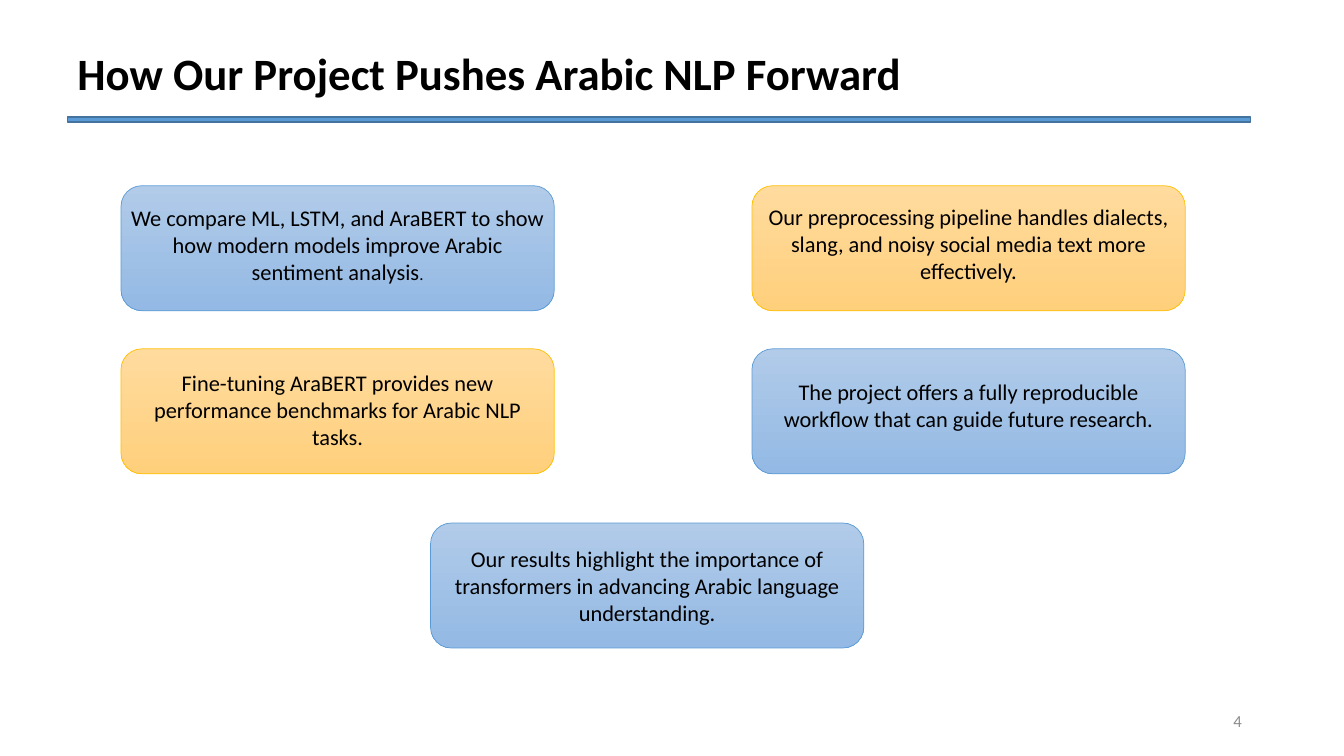
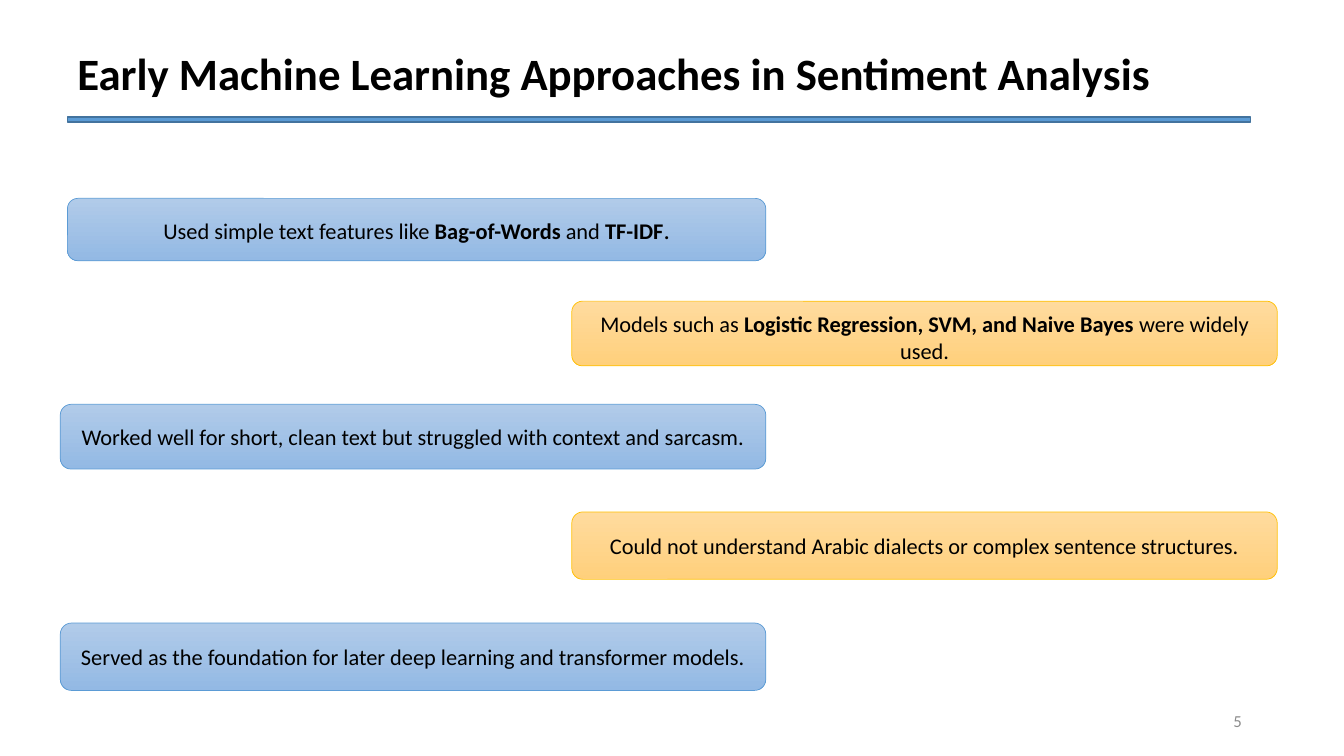
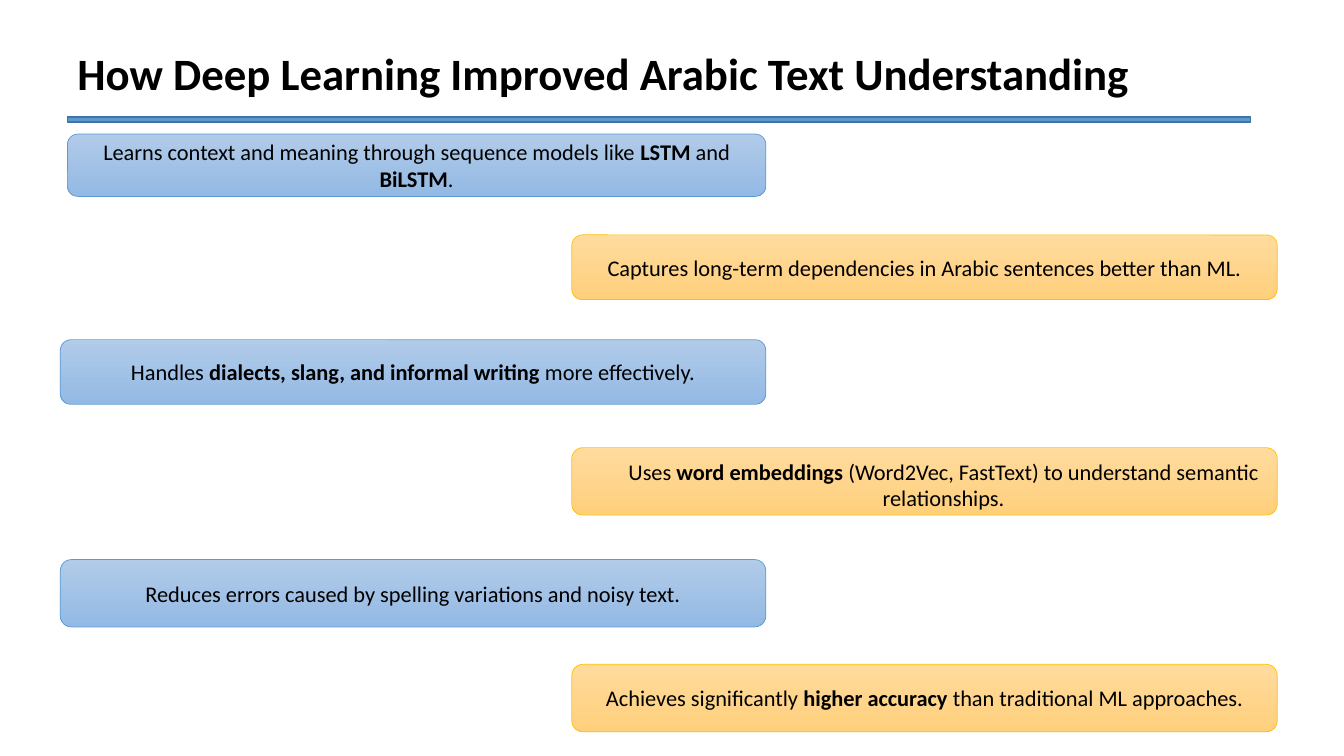
"""Build three slides on Arabic sentiment analysis."""
from dataclasses import dataclass

from pptx import Presentation
from pptx import util as u
from pptx.dml.color import RGBColor
from pptx.enum import shapes, text


@dataclass(frozen=True)
class Theme:
    """Colours and type sizes of the deck."""
    font: str = "Calibri"
    ink: str = "000000"
    mute: str = "8C8C8C"
    rule: str = "5B9BD5"
    edge: str = "43739E"
    blue: tuple = ("B1CBE9", "93B9E4", "5B9BD5")
    gold: tuple = ("FFDB9E", "FFD07C", "FFC000")
    head: int = 32
    body: int = 16
    note: int = 12


T = Theme()
BOX = (10.92, 3.15)
LEFT, MID, RIGHT = 3.05, 10.85, 18.95
ROWS = (4.68, 8.79, 13.18)
ENDS = ((1.52, 19.3), (14.41, 32.19))
TALL = (1.57, 1.63, 1.63, 1.7, 1.7, 1.7)


def tint(hue):
    """Return a colour from its hex form."""
    return RGBColor.from_string(hue)


def cms(*sizes):
    """Turn numbers into lengths."""
    return [u.Cm(size) for size in sizes]


def style(para, size, hue=T.ink, bold=None, align=None):
    """Set the font and alignment of a paragraph."""
    para.font.name, para.font.size = T.font, u.Pt(size)
    para.font.color.rgb = tint(hue)
    para.font.bold, para.alignment = bold, align


def label(slide, words, area, **look):
    """Add a line of plain text."""
    frame = slide.shapes.add_textbox(*cms(*area)).text_frame
    frame.word_wrap = True
    frame.vertical_anchor = text.MSO_ANCHOR.MIDDLE
    frame.text = words
    style(frame.paragraphs[0], **look)


def block(slide, kind, area, edge, width):
    """Add a flat outlined shape."""
    shape = slide.shapes.add_shape(kind, *cms(*area))
    shape.shadow.inherit = False
    shape.line.color.rgb, shape.line.width = tint(edge), u.Pt(width)
    return shape


def card(slide, words, area, hues, drop=0, shift=0, dot=None):
    """Add a shaded card, with bold words between double stars."""
    kind = shapes.MSO_SHAPE.ROUNDED_RECTANGLE
    shape = block(slide, kind, area, hues[2], 0.5)
    shape.fill.gradient()
    shape.fill.gradient_angle = 270
    for stop, hue in zip(shape.fill.gradient_stops, hues):
        stop.color.rgb = tint(hue)
    frame = shape.text_frame
    frame.word_wrap = True
    frame.vertical_anchor = text.MSO_ANCHOR.MIDDLE
    frame.margin_left, frame.margin_right = cms(0.05 + 2 * shift, 0.05)
    frame.margin_top, frame.margin_bottom = cms(max(0, 2 * drop), max(0, -2 * drop))
    para = frame.paragraphs[0]
    style(para, T.body, align=text.PP_ALIGN.CENTER)
    for i, part in enumerate(words.split("**")):
        run = para.add_run()
        run.text = part
        if i % 2:
            run.font.bold = True
    if dot:
        run = para.add_run()
        run.text, run.font.size = ".", u.Pt(dot)


def page(deck, title, number=None):
    """Add a slide with its title, rule and page number."""
    slide = deck.slides.add_slide(deck.slide_layouts[6])
    label(slide, title, (1.7, 1.02, 27.9, 1.63), size=T.head, bold=True)
    rule = block(slide, shapes.MSO_SHAPE.RECTANGLE, (1.7, 2.95, 29.82, 0.13), T.edge, 1)
    rule.fill.solid()
    rule.fill.fore_color.rgb = tint(T.rule)
    if number:
        label(slide, number, (23.93, 17.65, 7.62, 1.02), size=T.note,
              hue=T.mute, align=text.PP_ALIGN.RIGHT)
    return slide


def stairs(slide, tops, items):
    """Lay cards out on the left and right in turn."""
    for i, (top, (words, more)) in enumerate(zip(tops, items)):
        start, end = ENDS[i % 2]
        if i == 0:
            start = 1.7
        area = (start, top, end - start, TALL[i])
        card(slide, words, area, (T.blue, T.gold)[i % 2], **more)


def goals(deck):
    """Build the slide on what the project adds."""
    slide = page(deck, "How Our Project Pushes Arabic NLP Forward", "4")
    for words, left, row, hues, more in (
        ("We compare ML, LSTM, and AraBERT to show how modern models improve "
         "Arabic sentiment analysis", LEFT, 0, T.blue, {"drop": -0.09, "dot": T.note}),
        ("Our preprocessing pipeline handles dialects, slang, and noisy social "
         "media text more effectively.", RIGHT, 0, T.gold, {"drop": -0.12}),
        ("Fine-tuning AraBERT provides new performance benchmarks for Arabic "
         "NLP tasks.", LEFT, 1, T.gold, {"drop": -0.04}),
        ("The project offers a fully reproducible workflow that can guide "
         "future research.", RIGHT, 1, T.blue, {"drop": -0.15}),
        ("Our results highlight the importance of transformers in advancing "
         "Arabic language understanding.", MID, 2, T.blue, {}),
    ):
        card(slide, words, (left, ROWS[row], *BOX), hues, **more)


def early(deck):
    """Build the slide on early machine learning."""
    slide = page(deck, "Early Machine Learning Approaches in Sentiment Analysis", "5")
    stairs(slide, (5, 7.59, 10.19, 12.9, 15.7), (
        ("Used simple text features like **Bag-of-Words** and **TF-IDF**", {"dot": 18}),
        ("Models such as **Logistic Regression, SVM, and Naive Bayes** were "
         "widely used.", {"drop": 0.08}),
        ("Worked well for short, clean text but struggled with context and sarcasm.", {}),
        ("Could not understand Arabic dialects or complex sentence structures.", {}),
        ("Served as the foundation for later deep learning and transformer models.", {}),
    ))


def deep(deck):
    """Build the slide on deep learning."""
    slide = page(deck, "How Deep Learning Improved Arabic Text Understanding")
    stairs(slide, (3.38, 5.92, 8.56, 11.28, 14.1, 16.74), (
        ("Learns context and meaning through sequence models like **LSTM** and "
         "**BiLSTM**.", {}),
        ("Captures long-term dependencies in Arabic sentences better than ML.", {}),
        ("Handles **dialects, slang, and informal writing** more effectively.", {}),
        ("Uses **word embeddings** (Word2Vec, FastText) to understand semantic "
         "relationships.", {"drop": 0.08, "shift": 0.48}),
        ("Reduces errors caused by spelling variations and noisy text.", {}),
        ("Achieves significantly **higher accuracy** than traditional ML approaches.", {}),
    ))


def main():
    """Build and save the deck."""
    deck = Presentation()
    deck.slide_width, deck.slide_height = cms(33.87, 19.05)
    for build in (goals, early, deep):
        build(deck)
    deck.save("out.pptx")


if __name__ == "__main__":
    main()
